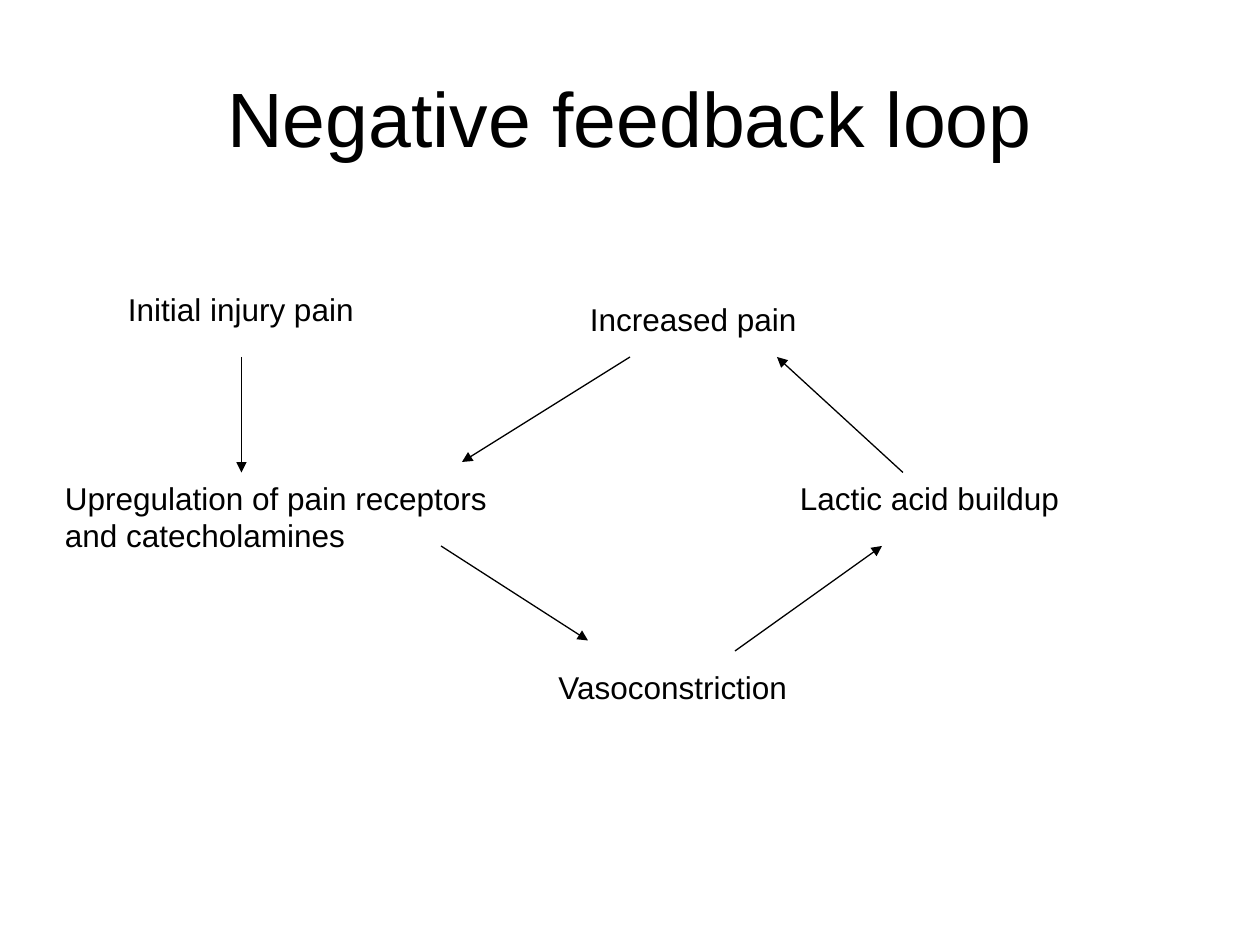
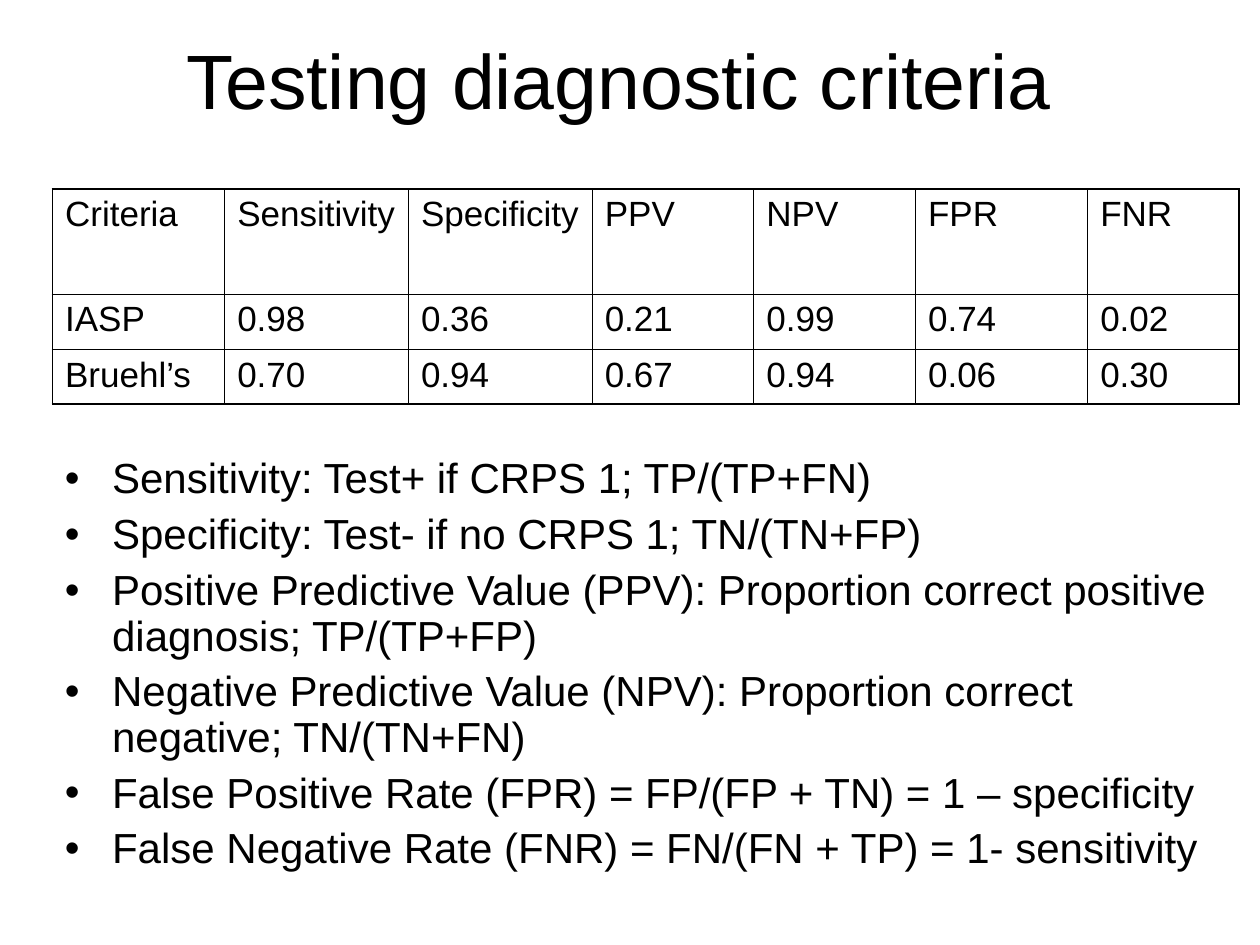
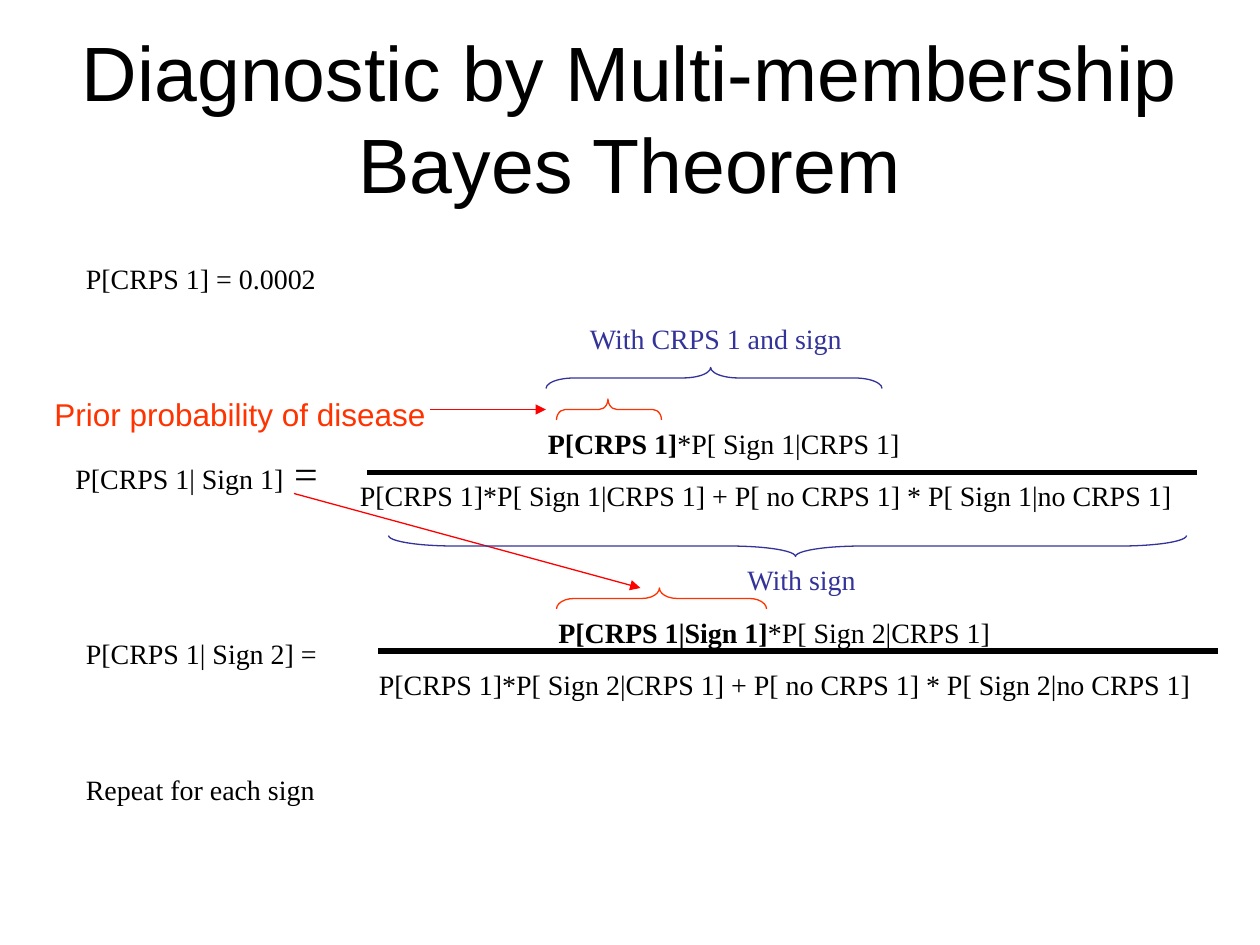
from dataclasses import dataclass

from lxml import etree
from pptx import Presentation
from pptx import util as u
from pptx.dml.color import RGBColor
from pptx.enum import shapes, text
from pptx.oxml import ns

COLUMNS, ROWS = 120, 90
WIDTH, HEIGHT = u.Inches(10), u.Inches(7.5)


@dataclass(frozen=True)
class Theme:
    """Colours, fonts, type sizes and line widths shared by the slides."""
    ink: str = "000000"
    arrow_red: str = "FF0000"
    prior_red: str = "FF3300"
    sign_blue: str = "333399"
    sans: str = "Arial"
    serif: str = "Times New Roman"
    title: int = 44
    body: int = 24
    cell: int = 20
    label: int = 18
    formula: int = 16
    thin: float = 0.75
    bar: float = 3
    outer_border: float = 1.08
    inner_border: float = 0.45


THEME = Theme()


@dataclass(frozen=True)
class Box:
    """A rectangle measured in grid columns and rows."""
    left: float
    top: float
    width: float
    height: float

    def inside(self, left, top, width, height):
        """Return a box placed relative to this one."""
        return Box(self.left + left, self.top + top, width, height)

    def lengths(self):
        """Return left, top, width and height as slide lengths."""
        return (across(self.left), down(self.top), across(self.width), down(self.height))


TITLE_BOX = Box(6, 3.6, 108, 15)


def across(columns):
    """Convert grid columns to a length."""
    return round(WIDTH * columns / COLUMNS)


def down(rows):
    """Convert grid rows to a length."""
    return round(HEIGHT * rows / ROWS)


def write(frame, paragraphs, size=THEME.label, font=THEME.sans, color=THEME.ink,
          align=text.PP_ALIGN.LEFT, bullet=None, spacing=None, before=0):
    """Fill a text frame; a paragraph is a string or a list of (text, size, bold) runs."""
    for index, content in enumerate(paragraphs):
        paragraph = frame.add_paragraph() if index else frame.paragraphs[0]
        paragraph.alignment = align
        if bullet:
            properties = paragraph._p.get_or_add_pPr()
            hang = across(4.5)
            properties.set("marL", str(hang))
            properties.set("indent", str(-hang))
            etree.SubElement(properties, ns.qn("a:buFont"), typeface=font)
            etree.SubElement(properties, ns.qn("a:buChar"), char=bullet)
        if spacing:
            paragraph.line_spacing = spacing
        paragraph.space_before = u.Pt(before if index else 0)
        runs = [(content, size, False)] if isinstance(content, str) else content
        for words, run_size, bold in runs:
            run = paragraph.add_run()
            run.text = words
            run.font.size = u.Pt(run_size)
            run.font.name = font
            run.font.bold = bold
            run.font.color.rgb = RGBColor.from_string(color)


def add_label(slide, box, *paragraphs, **format):
    """Add a text box."""
    frame = slide.shapes.add_textbox(*box.lengths()).text_frame
    frame.word_wrap = True
    write(frame, paragraphs, **format)


def add_line(slide, box, start, end, color=THEME.ink, width=THEME.thin, arrow=True):
    """Draw a straight line or arrow between two points of a box."""
    (x1, y1), (x2, y2) = start, end
    line = slide.shapes.add_connector(
        shapes.MSO_CONNECTOR.STRAIGHT,
        across(box.left + x1), down(box.top + y1), across(box.left + x2), down(box.top + y2))
    line.line.color.rgb = RGBColor.from_string(color)
    line.line.width = u.Pt(width)
    if arrow:
        etree.SubElement(line.line._get_or_add_ln(), ns.qn("a:tailEnd"), type="triangle")
    etree.SubElement(line._element.spPr, ns.qn("a:effectLst"))


def add_brace(slide, box, color, points_up=True):
    """Draw a horizontal brace that fills the box."""
    upright = box.inside((box.width - box.height) / 2, (box.height - box.width) / 2,
                         box.height, box.width)
    brace = slide.shapes.add_shape(shapes.MSO_SHAPE.LEFT_BRACE, *upright.lengths())
    brace.rotation = 90 if points_up else 270
    brace.adjustments[0] = box.width / box.height / 12
    brace.adjustments[1] = 0.51
    brace.shadow.inherit = False
    brace.fill.background()
    brace.line.color.rgb = RGBColor.from_string(color)
    brace.line.width = u.Pt(THEME.thin)


def add_titled_slide(presentation, title, box=TITLE_BOX):
    """Add a title-only slide and format its title."""
    slide = presentation.slides.add_slide(presentation.slide_layouts.get_by_name("Title Only"))
    shape = slide.shapes.title
    shape.left, shape.top, shape.width, shape.height = box.lengths()
    frame = shape.text_frame
    frame.word_wrap = True
    frame.auto_size = text.MSO_AUTO_SIZE.NONE
    frame.vertical_anchor = text.MSO_ANCHOR.MIDDLE
    write(frame, [title], size=THEME.title, align=text.PP_ALIGN.CENTER)
    return slide


def add_feedback_loop(slide, box):
    """Place the stages of the pain cycle and the arrows between them."""
    stages = [
        (6, 0, 25, ["Initial injury pain"]),
        (0, 18, 45, ["Upregulation of pain receptors", "and catecholamines"]),
        (50, 1, 23, ["Increased pain"]),
        (47, 36, 26, ["Vasoconstriction"]),
        (70, 18, 28, ["Lactic acid buildup"]),
    ]
    for left, top, width, lines in stages:
        add_label(slide, box.inside(left, top, width, 1.2 + 3.6 * len(lines)), *lines)
    arrows = [
        ((18, 7), (18, 18)),
        ((37, 25), (51, 34)),
        ((65, 35), (79, 25)),
        ((81, 18), (69, 7)),
        ((55, 7), (39, 17)),
    ]
    for start, end in arrows:
        add_line(slide, box, start, end)


def set_borders(cell, **widths):
    """Draw the L, R, T and B borders of a cell at the given widths."""
    properties = cell._tc.get_or_add_tcPr()
    for side, width in widths.items():
        line = etree.SubElement(properties, ns.qn(f"a:ln{side}"), w=str(u.Pt(width)))
        fill = etree.SubElement(line, ns.qn("a:solidFill"))
        etree.SubElement(fill, ns.qn("a:srgbClr"), val=THEME.ink)


def add_criteria_table(slide, box):
    """Add the table comparing the two sets of criteria."""
    rows = [
        ["Criteria", "Sensitivity", "Specificity", "PPV", "NPV", "FPR", "FNR"],
        ["IASP", "0.98", "0.36", "0.21", "0.99", "0.74", "0.02"],
        ["Bruehl’s", "0.70", "0.94", "0.67", "0.94", "0.06", "0.30"],
    ]
    column_widths = [16.4, 17.5, 17.5, 15.4, 15.4, 16.4, 14.4]
    row_heights = [10, 5.25, 5.25]
    table = slide.shapes.add_table(len(rows), len(column_widths), *box.lengths()).table
    table.first_row = table.horz_banding = False
    for column, width in zip(table.columns, column_widths):
        column.width = across(width)
    for row, height in zip(table.rows, row_heights):
        row.height = down(height)

    def border(is_outer):
        """Return the width of an outer or inner border."""
        return THEME.outer_border if is_outer else THEME.inner_border

    for r, values in enumerate(rows):
        for c, value in enumerate(values):
            cell = table.cell(r, c)
            set_borders(cell, L=border(c == 0), R=border(c == len(values) - 1),
                        T=border(r == 0), B=border(r == len(rows) - 1))
            cell.fill.background()
            write(cell.text_frame, [value], size=THEME.cell)


def add_definitions(slide, box):
    """Add the bulleted definitions of the test measures."""
    add_label(
        slide, box,
        "Sensitivity: Test+ if CRPS 1; TP/(TP+FN)",
        "Specificity: Test- if no CRPS 1; TN/(TN+FP)",
        "Positive Predictive Value (PPV): Proportion correct positive diagnosis; TP/(TP+FP)",
        "Negative Predictive Value (NPV): Proportion correct negative; TN/(TN+FN)",
        "False Positive Rate (FPR) = FP/(FP + TN) = 1 – specificity",
        "False Negative Rate (FNR) = FN/(FN + TP) = 1- sensitivity",
        size=THEME.body, bullet="•", spacing=0.9, before=6)


def add_formula(slide, box, *runs, color=THEME.ink):
    """Add a line of serif formula text."""
    add_label(slide, box, list(runs), font=THEME.serif, color=color)


def add_fraction(slide, box, sign, prior, equals_size, prior_width, bar_row, denominator_column):
    """Write the posterior for a sign as a fraction with a heavy bar."""
    size = THEME.formula
    likelihood = f"*P[ Sign {sign}|CRPS 1]"
    add_formula(slide, box.inside(0, 2, 27, equals_size / 4),
                (f"P[CRPS 1| Sign {sign}]", size, False), (" =", equals_size, False))
    add_formula(slide, box.inside(45, 0, prior_width, 4.4),
                (prior, size, True), (likelihood, size, False))
    add_formula(slide, box.inside(denominator_column, 5, 81, 4.4),
                (f"P[CRPS 1]{likelihood} + P[ no CRPS 1] * P[ Sign {sign}|no CRPS 1]", size, False))
    add_line(slide, box, (29, bar_row), (box.width, bar_row), width=THEME.bar, arrow=False)


def add_bayes_steps(slide, box):
    """Place the prior, both updates and the braces that explain them."""
    size = THEME.formula
    add_line(slide, box, (24, 24), (57, 33), color=THEME.arrow_red)
    add_formula(slide, box.inside(3, 0, 27, 6),
                ("P[CRPS 1] = 0.0002", size, False), (" ", THEME.body, False))
    add_fraction(slide, box.inside(2, 17, 108, 10), 1, "P[CRPS 1]", equals_size=THEME.body,
                 prior_width=37, bar_row=5, denominator_column=27.1)
    add_fraction(slide, box.inside(3, 35, 109, 10), 2, "P[CRPS 1|Sign 1]", equals_size=size,
                 prior_width=45, bar_row=4, denominator_column=27.9)
    add_formula(slide, box.inside(3, 50, 26, 4.4), ("Repeat for each sign", size, False))

    add_formula(slide, box.inside(51, 7, 28, 4.4), ("With CRPS 1 and sign", size, False),
                color=THEME.sign_blue)
    add_formula(slide, box.inside(66, 30, 14, 4.4), ("With sign", size, False),
                color=THEME.sign_blue)
    add_label(slide, box.inside(0, 14, 39, 4.8), "Prior probability of disease",
              color=THEME.prior_red)
    add_line(slide, box, (37, 16), (48, 16), color=THEME.arrow_red)

    braces = [
        (49, 15, 10, THEME.prior_red, True),
        (48, 12, 32, THEME.sign_blue, True),
        (33, 28, 76, THEME.sign_blue, False),
        (49, 33, 20, THEME.prior_red, True),
    ]
    for left, top, width, color, points_up in braces:
        add_brace(slide, box.inside(left, top, width, 2), color, points_up)


def main():
    """Build and save the three slides."""
    presentation = Presentation()
    presentation.slide_width, presentation.slide_height = WIDTH, HEIGHT

    slide = add_titled_slide(presentation, "Negative feedback loop")
    add_feedback_loop(slide, Box(5, 27, 97, 41))

    slide = add_titled_slide(presentation, "Testing diagnostic criteria", Box(0, 0, 118, 15))
    add_criteria_table(slide, Box(5, 18, 113, 20.5))
    add_definitions(slide, Box(5, 43, 113, 41))

    slide = add_titled_slide(presentation, "Diagnostic by Multi-membership Bayes Theorem")
    add_bayes_steps(slide, Box(4, 23, 112, 55))

    presentation.save("out.pptx")


if __name__ == "__main__":
    main()
